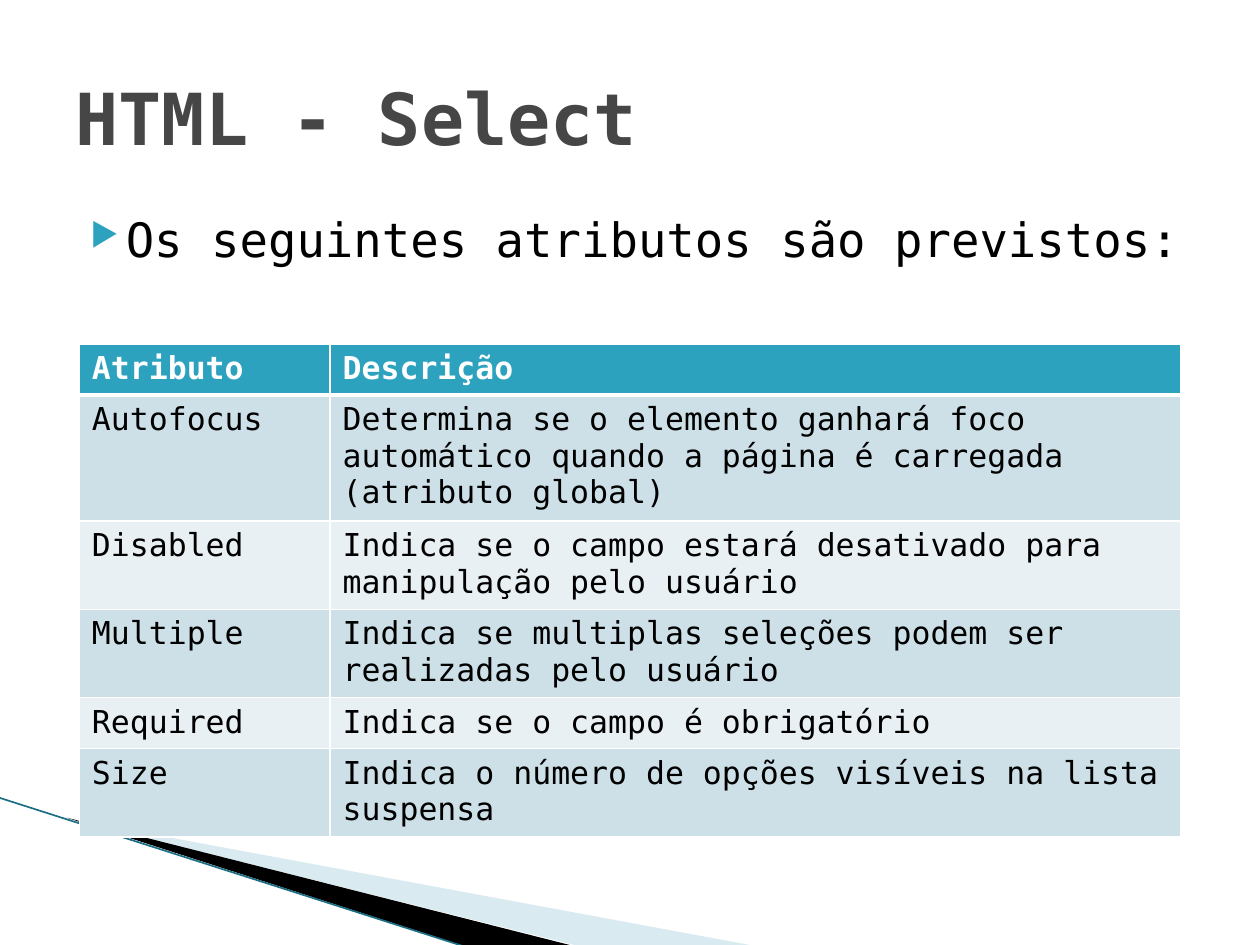
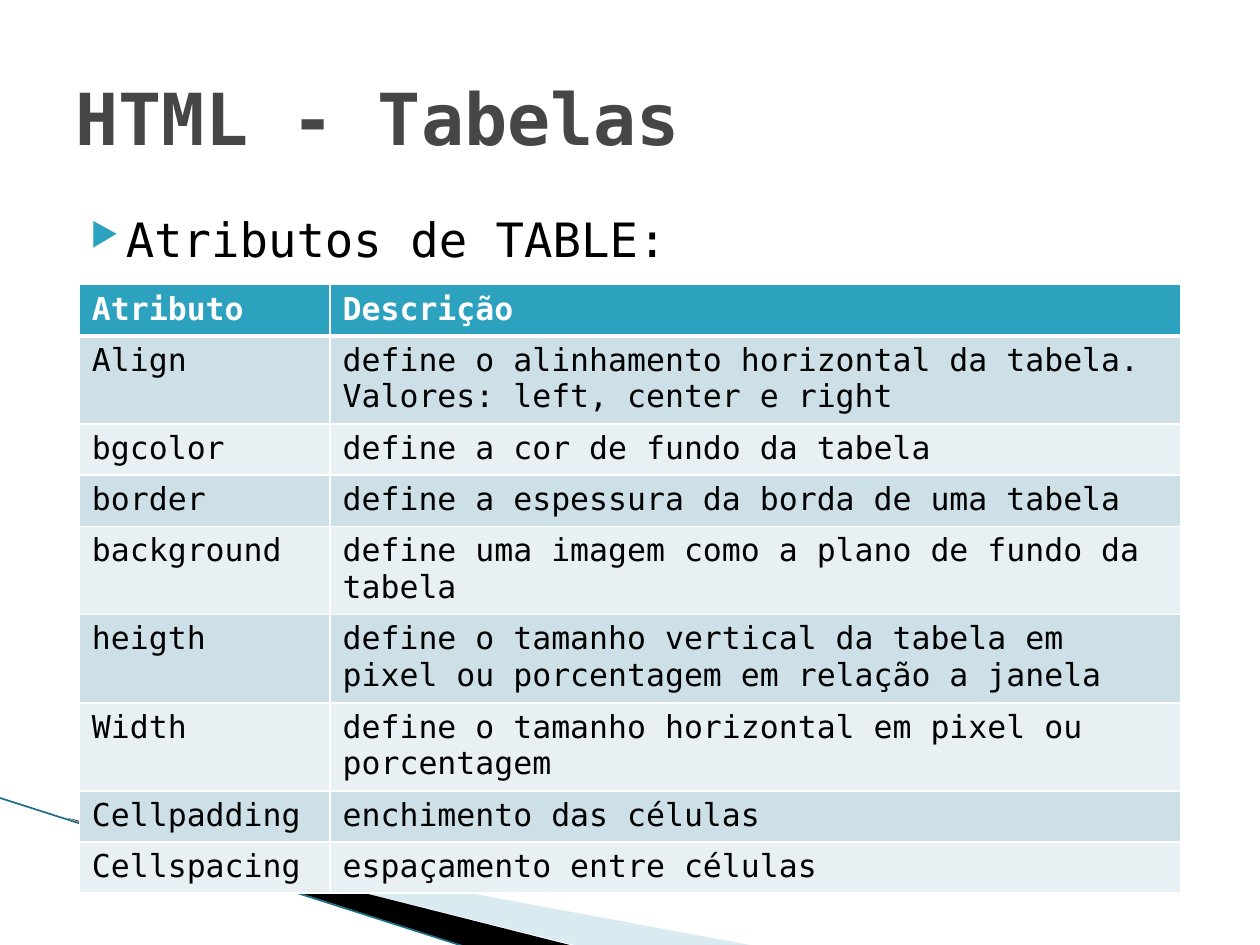
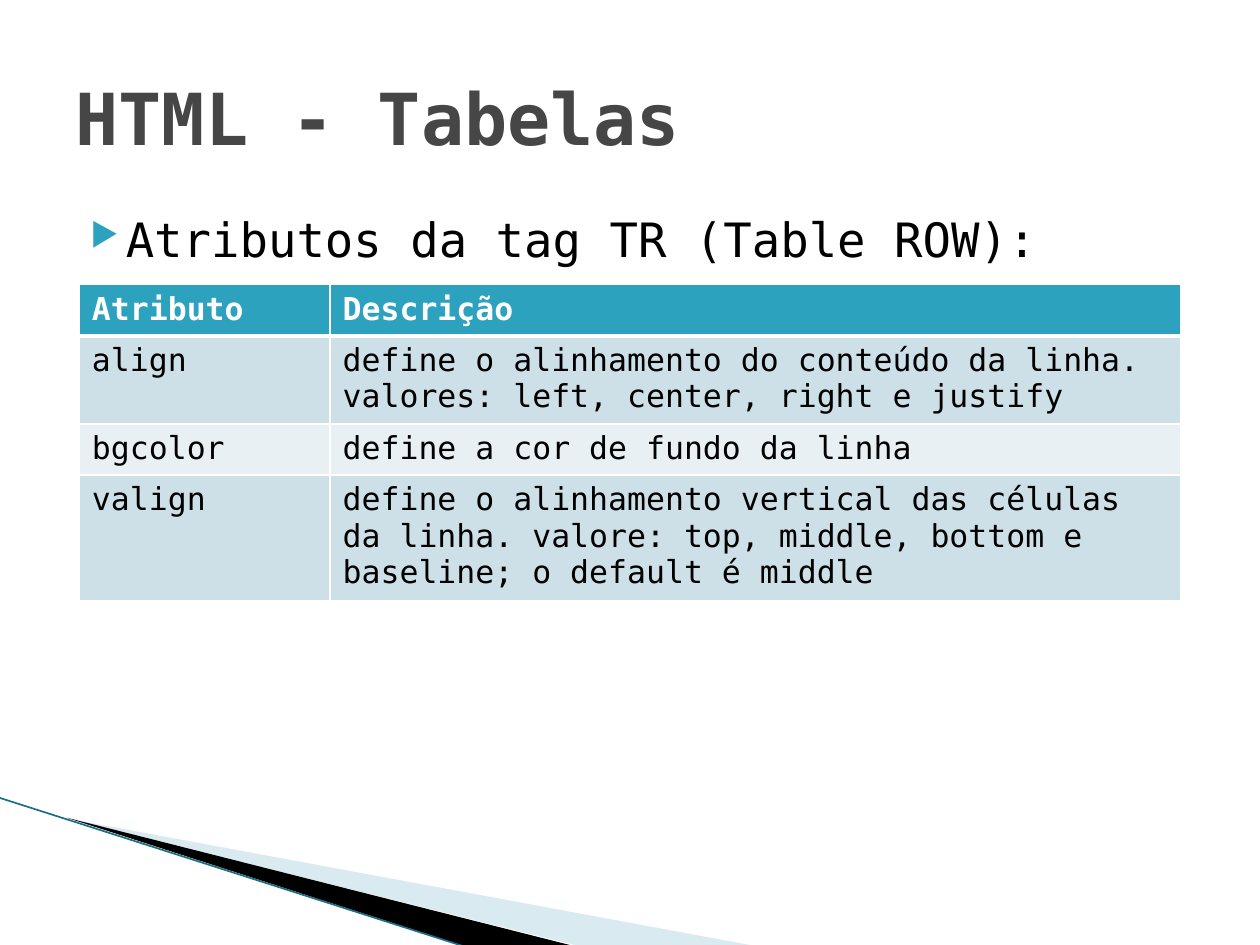
from lxml import etree
from pptx import Presentation
from pptx import util as u
from pptx.dml.color import RGBColor
from pptx.enum import shapes, text
from pptx.oxml import parse_xml
from pptx.oxml.ns import nsdecls, qn

FONT = "DejaVu Sans Mono"
TEAL = RGBColor(0x2D, 0xA2, 0xBF)
DARK_TEAL = RGBColor(0x1B, 0x6F, 0x84)
PALE_BLUE = RGBColor(0xA0, 0xCB, 0xDC)
BANDS = RGBColor(0xCD, 0xE0, 0xE8), RGBColor(0xE8, 0xF0, 0xF4)
GRAY = RGBColor(0x46, 0x46, 0x46)
BLACK = RGBColor(0, 0, 0)
WHITE = RGBColor(0xFF, 0xFF, 0xFF)

# The slide is a grid of 100 columns by 75 rows
W, H = u.Inches(10), u.Inches(7.5)
COL, ROW = W // 100, H // 75
TITLE_BOX = 5, 3, 90, 12.5
BODY_BOX = 5, 16.2, 90, 49.5
TABLE_LEFT, TABLE_COLS = 6.3, (19.9, 67.5)
TABLE_ROW = u.Cm(1.03)
HEADER = "Atributo", "Descrição"

SLIDES = [
    ("HTML - Select", "Os seguintes atributos são previstos:", 27.3, [
        ("Autofocus", "Determina se o elemento ganhará foco automático quando "
                      "a página é carregada (atributo global)"),
        ("Disabled", "Indica se o campo estará desativado para manipulação pelo usuário"),
        ("Multiple", "Indica se multiplas seleções podem ser realizadas pelo usuário"),
        ("Required", "Indica se o campo é obrigatório"),
        ("Size", "Indica o número de opções visíveis na lista suspensa"),
    ]),
    ("HTML - Tabelas", "Atributos de TABLE:", 22.6, [
        ("Align", "define o alinhamento horizontal da tabela. "
                  "Valores: left, center e right"),
        ("bgcolor", "define a cor de fundo da tabela"),
        ("border", "define a espessura da borda de uma tabela"),
        ("background", "define uma imagem como a plano de fundo da tabela"),
        ("heigth", "define o tamanho vertical da tabela em pixel ou "
                   "porcentagem em relação a janela"),
        ("Width", "define o tamanho horizontal em pixel ou porcentagem"),
        ("Cellpadding", "enchimento das células"),
        ("Cellspacing", "espaçamento entre células"),
    ]),
    ("HTML - Tabelas", "Atributos da tag TR (Table ROW):", 22.6, [
        ("align", "define o alinhamento do conteúdo da linha. "
                  "valores: left, center, right e justify"),
        ("bgcolor", "define a cor de fundo da linha"),
        ("valign", "define o alinhamento vertical das células da linha. valore: "
                   "top, middle, bottom e baseline; o default é middle"),
    ]),
]


def at(x, y):
    return round(x * COL), round(y * ROW)


def place(box):
    return at(*box[:2]) + at(*box[2:])


def style(p, size, color, bold=False):
    f = p.font
    f.name, f.size, f.bold = FONT, u.Pt(size), bold
    f.color.rgb = color


def add_wedge(s, points, color, alpha=None):
    start, *rest = [at(*pt) for pt in points]
    builder = s.shapes.build_freeform(*start, scale=1.0)
    builder.add_line_segments(rest, close=True)
    sp = builder.convert_to_shape()
    sp.shadow.inherit = False
    sp.line.fill.background()
    sp.fill.solid()
    sp.fill.fore_color.rgb = color
    if alpha is not None:
        clr = sp.fill._xPr.find(".//" + qn("a:srgbClr"))
        etree.SubElement(clr, qn("a:alpha"), val=str(alpha * 1000))


def add_corner(s):
    """Wedges and thin line in the lower left corner."""
    add_wedge(s, [(5.5, 65), (59.5, 75), (45.6, 75)], PALE_BLUE, 40)
    add_wedge(s, [(5.3, 64.9), (45.6, 75.1), (37.2, 75.2)], BLACK)
    line = s.shapes.add_connector(shapes.MSO_CONNECTOR.STRAIGHT,
                                  *at(-0.1, 63.3), *at(37.1, 75.2))
    line.line.color.rgb = DARK_TEAL
    line.line.width = u.Pt(0.95)
    etree.SubElement(line._element.spPr, qn("a:effectLst"))


def set_title(s, title, box):
    sp = s.shapes.title
    sp.left, sp.top, sp.width, sp.height = place(box)
    tf = sp.text_frame
    tf.text = title
    tf.auto_size = text.MSO_AUTO_SIZE.NONE
    tf.vertical_anchor = text.MSO_ANCHOR.MIDDLE
    p = tf.paragraphs[0]
    p.alignment = text.PP_ALIGN.LEFT
    style(p, 41, GRAY, bold=True)


def add_body(s, body, box):
    tf = s.shapes.add_textbox(*place(box)).text_frame
    tf.word_wrap = True
    p = tf.paragraphs[0]
    p.text = body
    p.space_before = u.Pt(4)
    style(p, 27, BLACK)
    # Triangular bullet with a hanging indent
    pPr = p._p.get_or_add_pPr()
    pPr.set("marL", str(u.Inches(0.4)))
    pPr.set("indent", str(u.Inches(-0.28)))
    for xml in (f'<a:buClr {nsdecls("a")}><a:srgbClr val="{TEAL}"/></a:buClr>',
                f'<a:buSzPct {nsdecls("a")} val="68000"/>',
                f'<a:buChar {nsdecls("a")} char="▶"/>'):
        pPr.insert_element_before(parse_xml(xml), "a:tabLst", "a:defRPr", "a:extLst")


def set_borders(cell, top, bottom):
    tcPr = cell._tc.get_or_add_tcPr()
    for i, (side, pt) in enumerate(zip("LRTB", (1, 1, top, bottom))):
        tcPr.insert(i, parse_xml(
            f'<a:ln{side} {nsdecls("a")} w="{u.Pt(pt)}"><a:solidFill>'
            f'<a:srgbClr val="{WHITE}"/></a:solidFill></a:ln{side}>'))


def add_attributes(s, rows, top):
    """Table of attributes: a header row over two alternating bands."""
    rows = [HEADER] + rows
    x, y = at(TABLE_LEFT, top)
    table = s.shapes.add_table(len(rows), len(TABLE_COLS), x, y,
                               round(sum(TABLE_COLS) * COL),
                               TABLE_ROW * len(rows)).table
    for column, width in zip(table.columns, TABLE_COLS):
        column.width = round(width * COL)
    for i, row in enumerate(rows):
        table.rows[i].height = TABLE_ROW
        is_header = i == 0
        for j, value in enumerate(row):
            cell = table.cell(i, j)
            cell.text = value
            cell.fill.solid()
            cell.fill.fore_color.rgb = TEAL if is_header else BANDS[(i - 1) % 2]
            style(cell.text_frame.paragraphs[0], 18,
                  WHITE if is_header else BLACK, bold=is_header)
            set_borders(cell, 3 if i == 1 else 1, 3 if is_header else 1)


def add_attribute_slide(prs, title, body, table_top, rows):
    s = prs.slides.add_slide(prs.slide_layouts[5])
    add_corner(s)
    add_body(s, body, BODY_BOX)
    set_title(s, title, TITLE_BOX)
    add_attributes(s, rows, table_top)


def main():
    prs = Presentation()
    prs.slide_width, prs.slide_height = W, H
    for content in SLIDES:
        add_attribute_slide(prs, *content)
    prs.save("out.pptx")


if __name__ == "__main__":
    main()
